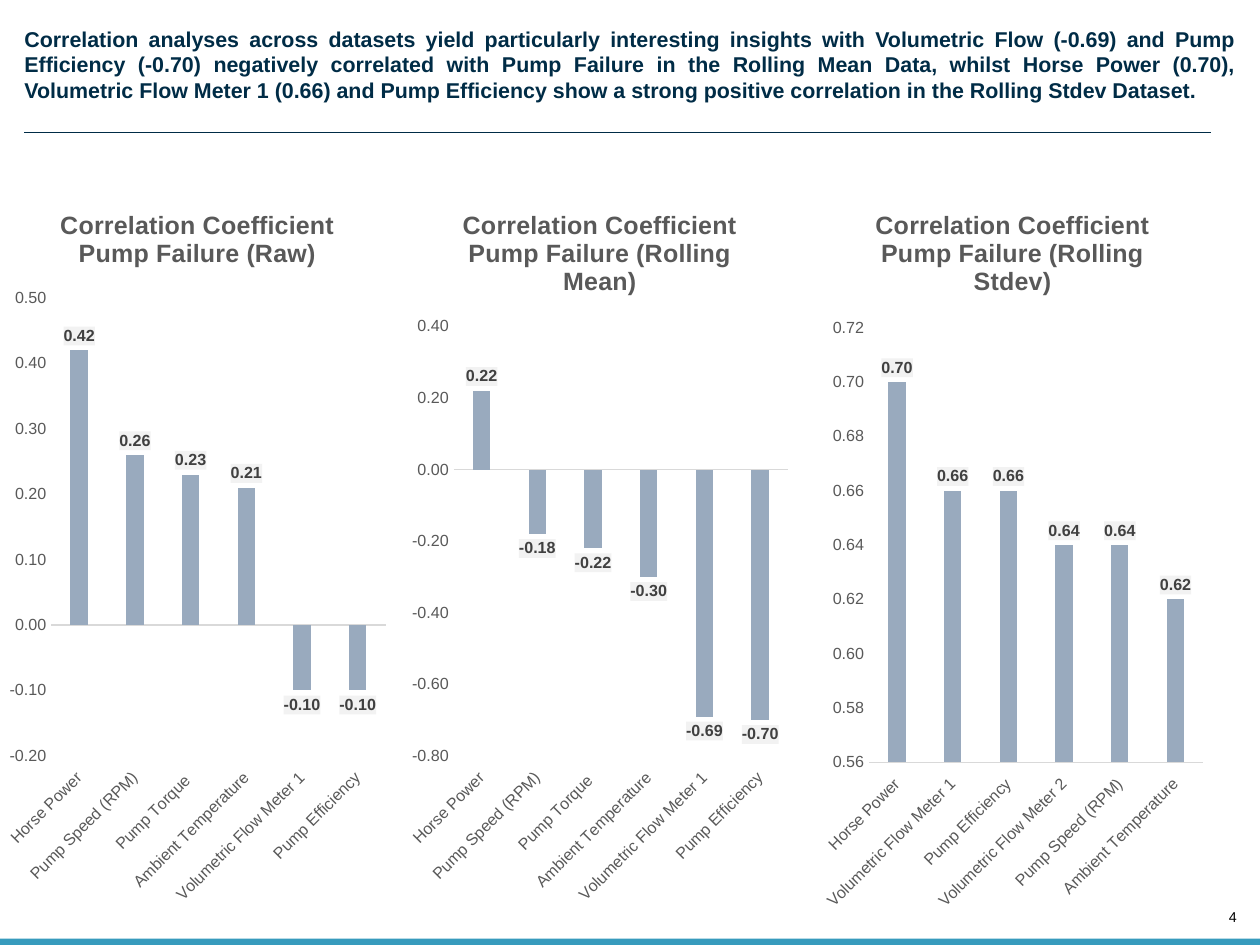
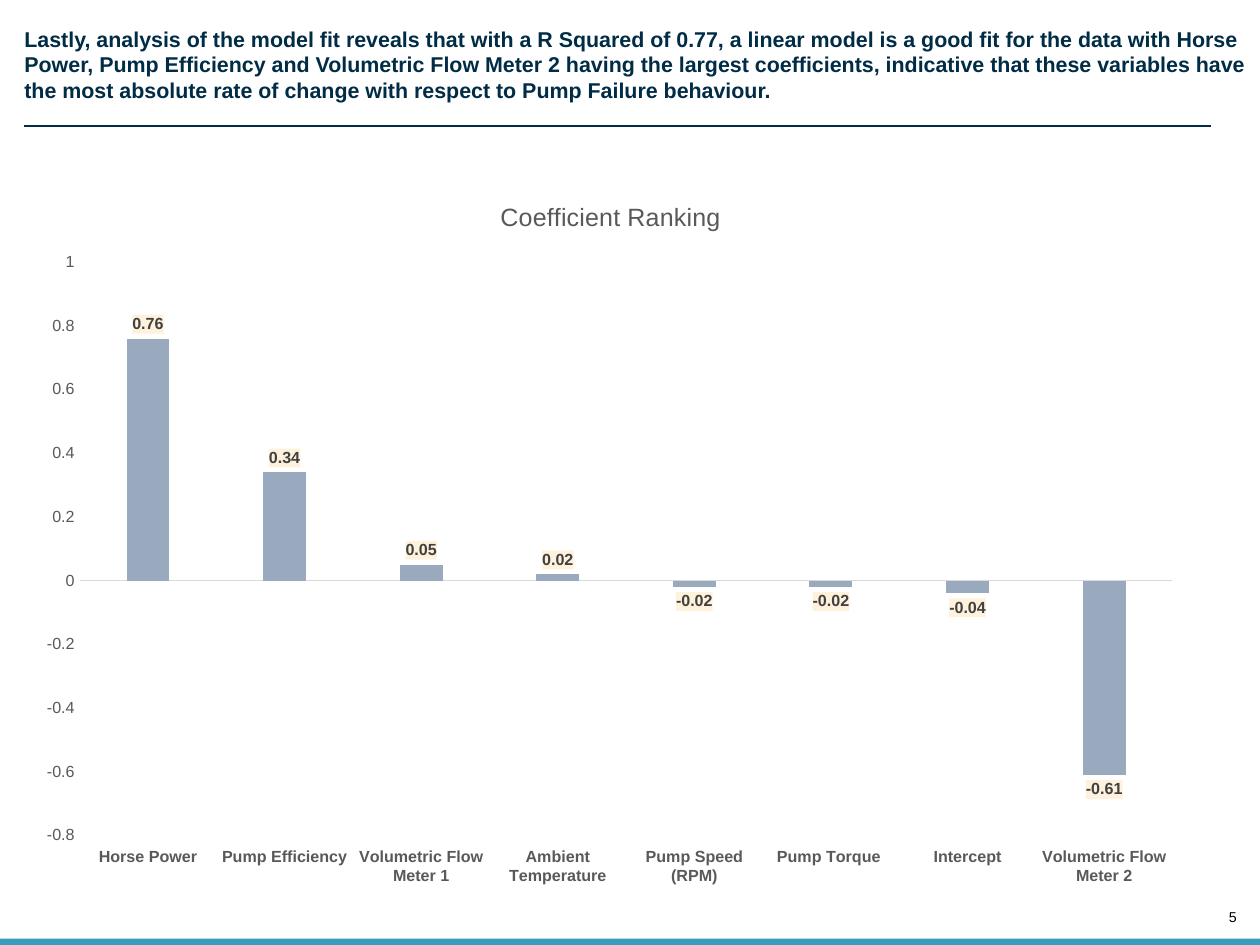
from dataclasses import dataclass

from lxml.etree import SubElement
from pptx import Presentation
from pptx.chart.data import CategoryChartData
from pptx.dml.color import RGBColor
from pptx.enum.chart import XL_CHART_TYPE, XL_LABEL_POSITION, XL_TICK_LABEL_POSITION, XL_TICK_MARK
from pptx.enum.shapes import MSO_CONNECTOR, MSO_SHAPE
from pptx.enum.text import MSO_ANCHOR, PP_ALIGN
from pptx.oxml import parse_xml
from pptx.oxml.ns import nsdecls, qn
from pptx.util import Inches, Pt


@dataclass(frozen=True)
class Theme:
    """Colours, font and type sizes of the deck."""
    font: str = "Arial"
    navy: str = "002C46"
    band: str = "379BBD"
    bar: str = "99AABE"
    axis: str = "D9D9D9"
    grey: str = "595959"
    label: str = "404040"
    black: str = "000000"
    grey_tag: str = "F2F2F2"
    cream_tag: str = "FFF2DC"
    title_size: int = 12
    chart_title_size: int = 14
    chart_size: int = 9
    number_size: int = 8


T = Theme()
WIDTH, HEIGHT, MARGIN = 9.8, 7.35, 0.19
CHART_TOP, CHART_W, CHART_H = 1.42, 3.07, 5.72
PUMP_CATS = ["Horse Power", "Pump Speed (RPM)", "Pump Torque ", "Ambient Temperature",
             "Volumetric Flow Meter 1", "Pump Efficiency"]
STDEV_CATS = ["Horse Power", "Volumetric Flow Meter 1", "Pump Efficiency",
              "Volumetric Flow Meter 2", "Pump Speed (RPM)", "Ambient Temperature"]
RANKING_CATS = ["Horse Power", "Pump Efficiency", "Volumetric Flow Meter 1", "Ambient Temperature",
                "Pump Speed (RPM)", "Pump Torque ", "Intercept", "Volumetric Flow Meter 2"]
CORRELATIONS = [
    dict(left=0, title="Correlation Coefficient Pump Failure (Raw)", cats=PUMP_CATS,
         vals=[0.42, 0.26, 0.23, 0.21, -0.1, -0.1],
         scale=(-0.2, 0.5, 0.1), plot=(0.4, 0.9, 2.6, 3.56)),
    dict(left=3.13, title="Correlation Coefficient Pump Failure (Rolling Mean)", cats=PUMP_CATS,
         vals=[0.22, -0.18, -0.22, -0.3, -0.69, -0.7],
         scale=(-0.8, 0.4, 0.2), plot=(0.4, 1.12, 2.6, 3.34)),
    dict(left=6.34, title="Correlation Coefficient Pump Failure (Rolling Stdev)", cats=STDEV_CATS,
         vals=[0.7, 0.66, 0.66, 0.64, 0.64, 0.62],
         scale=(0.56, 0.72, 0.02), plot=(0.42, 1.13, 2.6, 3.38)),
]


def style_font(font, size, color, bold=False):
    """Apply the deck font with a size, colour and weight."""
    font.name, font.size, font.bold = T.font, Pt(size), bold
    font.color.rgb = RGBColor.from_string(color)


def add_text(s, box, text, size, color, bold=False, align=PP_ALIGN.LEFT,
             anchor=MSO_ANCHOR.TOP, wrap=True):
    """Place a text box without insets."""
    tf = s.shapes.add_textbox(*map(Inches, box)).text_frame
    tf.margin_left = tf.margin_right = tf.margin_top = tf.margin_bottom = 0
    tf.word_wrap, tf.vertical_anchor = wrap, anchor
    p = tf.paragraphs[0]
    p.alignment = align
    r = p.add_run()
    r.text = text
    style_font(r.font, size, color, bold)


def add_frame(prs, title, title_width, rule_top, number, align=PP_ALIGN.LEFT):
    """Add a slide with its title, rule, page number and bottom band."""
    s = prs.slides.add_slide(prs.slide_layouts[6])
    add_text(s, (9.48, 7.07, 0.14, 0.13), str(number), T.number_size, T.black,
             align=PP_ALIGN.RIGHT, anchor=MSO_ANCHOR.BOTTOM, wrap=False)
    sp = s.shapes.add_shape(MSO_SHAPE.RECTANGLE, 0, Inches(HEIGHT - 0.05),
                            Inches(WIDTH), Inches(0.05))
    sp.shadow.inherit = False
    sp.fill.solid()
    sp.fill.fore_color.rgb = RGBColor.from_string(T.band)
    sp.line.fill.background()
    add_text(s, (MARGIN, 0.2, title_width, 0.61), title, T.title_size, T.navy,
             bold=True, align=align)
    rule = s.shapes.add_connector(MSO_CONNECTOR.STRAIGHT, Inches(MARGIN), Inches(rule_top),
                                  Inches(9.42), Inches(rule_top))
    rule.line.color.rgb = RGBColor.from_string(T.navy)
    rule.line.width = Pt(0.75)
    SubElement(rule._element.spPr, qn("a:effectLst"))
    return s


def set_plot_box(chart, plot, width, height):
    """Fix the inner plot area, given in inches within the chart."""
    left, top, w, h = plot
    fractions = zip("xywh", (left / width, top / height, w / width, h / height))
    area = chart._chartSpace.chart.plotArea
    for old in area.findall(qn("c:layout")):
        area.remove(old)
    values = "".join(f'<c:{key} val="{value:.4f}"/>' for key, value in fractions)
    area.insert(0, parse_xml(
        f'<c:layout {nsdecls("c")}><c:manualLayout><c:layoutTarget val="inner"/>'
        f'<c:xMode val="edge"/><c:yMode val="edge"/>{values}</c:manualLayout></c:layout>'))


def style_axes(chart, scale, number_format, bold_cats, rotation):
    """Format the category axis and the value axis."""
    cat, val = chart.category_axis, chart.value_axis
    for axis, bold in ((cat, bold_cats), (val, False)):
        axis.major_tick_mark = axis.minor_tick_mark = XL_TICK_MARK.NONE
        axis.has_major_gridlines = False
        style_font(axis.tick_labels.font, T.chart_size, T.grey, bold)
    cat.tick_label_position = XL_TICK_LABEL_POSITION.LOW
    cat.format.line.color.rgb = RGBColor.from_string(T.axis)
    cat.format.line.width = Pt(0.75)
    cat._element.find(qn("c:txPr")).find(qn("a:bodyPr")).set("rot", str(rotation * 60000))
    val.format.line.fill.background()
    val.minimum_scale, val.maximum_scale, val.major_unit = scale
    val.tick_labels.number_format = number_format
    val.tick_labels.number_format_is_linked = False


def style_labels(plot, tag):
    """Show bold values on tinted tags at the bar ends."""
    plot.has_data_labels = True
    labels = plot.data_labels
    labels.show_value = True
    labels.number_format, labels.number_format_is_linked = "0.00", False
    labels.position = XL_LABEL_POSITION.OUTSIDE_END
    style_font(labels.font, T.chart_size, T.label, True)
    labels._element.find(qn("c:numFmt")).addnext(parse_xml(
        f'<c:spPr {nsdecls("c", "a")}><a:solidFill><a:srgbClr val="{tag}"/></a:solidFill></c:spPr>'))


def add_bar_chart(s, box, title, cats, vals, scale, plot, tag, number_format="0.00",
                  bold_title=True, bold_cats=False, rotation=-45):
    """Place a titled column chart in the given box."""
    data = CategoryChartData()
    data.categories = cats
    data.add_series("Series 1", vals)
    chart = s.shapes.add_chart(XL_CHART_TYPE.COLUMN_CLUSTERED, *map(Inches, box), data).chart
    style_font(chart.font, 10, T.black)
    chart.has_legend = False
    chart.has_title = True
    p = chart.chart_title.text_frame.paragraphs[0]
    r = p.add_run()
    r.text = title
    style_font(r.font, T.chart_title_size, T.grey, bold_title)
    chart.chart_title.include_in_layout = False
    set_plot_box(chart, plot, *box[2:])
    style_axes(chart, scale, number_format, bold_cats, rotation)
    bars = chart.plots[0]
    bars.gap_width, bars.overlap, bars.vary_by_categories = 219, -27, False
    series = bars.series[0]
    series.invert_if_negative = False
    series.format.fill.solid()
    series.format.fill.fore_color.rgb = RGBColor.from_string(T.bar)
    style_labels(bars, tag)


def correlation_slide(prs):
    """Build the slide comparing three correlation charts."""
    s = add_frame(
        prs, "Correlation analyses across datasets yield particularly interesting insights with "
        "Volumetric Flow (-0.69) and Pump Efficiency (-0.70) negatively correlated with Pump "
        "Failure in the Rolling Mean Data, whilst Horse Power (0.70), Volumetric Flow Meter 1 "
        "(0.66) and Pump Efficiency show a strong positive correlation in the Rolling Stdev "
        "Dataset. ", 9.43, 1.03, 4, PP_ALIGN.JUSTIFY)
    for item in CORRELATIONS:
        settings = dict(item)
        box = (settings.pop("left"), CHART_TOP, CHART_W, CHART_H)
        add_bar_chart(s, box, tag=T.grey_tag, **settings)


def ranking_slide(prs):
    """Build the slide ranking the model coefficients."""
    s = add_frame(
        prs, "Lastly, analysis of the model fit reveals that with a R Squared of 0.77, a linear "
        "model is a good fit for the data with Horse Power, Pump Efficiency and Volumetric Flow "
        "Meter 2 having the largest coefficients, indicative that these variables have the most "
        "absolute rate of change with respect to Pump Failure behaviour.", 9.56, 0.98, 5)
    add_bar_chart(s, (MARGIN, 1.36, 9.12, 5.66), "Coefficient Ranking", RANKING_CATS,
                  [0.76, 0.34, 0.05, 0.02, -0.02, -0.02, -0.04, -0.61],
                  scale=(-0.8, 1, 0.2), plot=(0.43, 0.68, 8.5, 4.46), tag=T.cream_tag,
                  number_format="General", bold_title=False, bold_cats=True, rotation=0)


def main():
    """Build and save the deck."""
    prs = Presentation()
    prs.slide_width, prs.slide_height = Inches(WIDTH), Inches(HEIGHT)
    correlation_slide(prs)
    ranking_slide(prs)
    prs.save("out.pptx")


if __name__ == "__main__":
    main()
